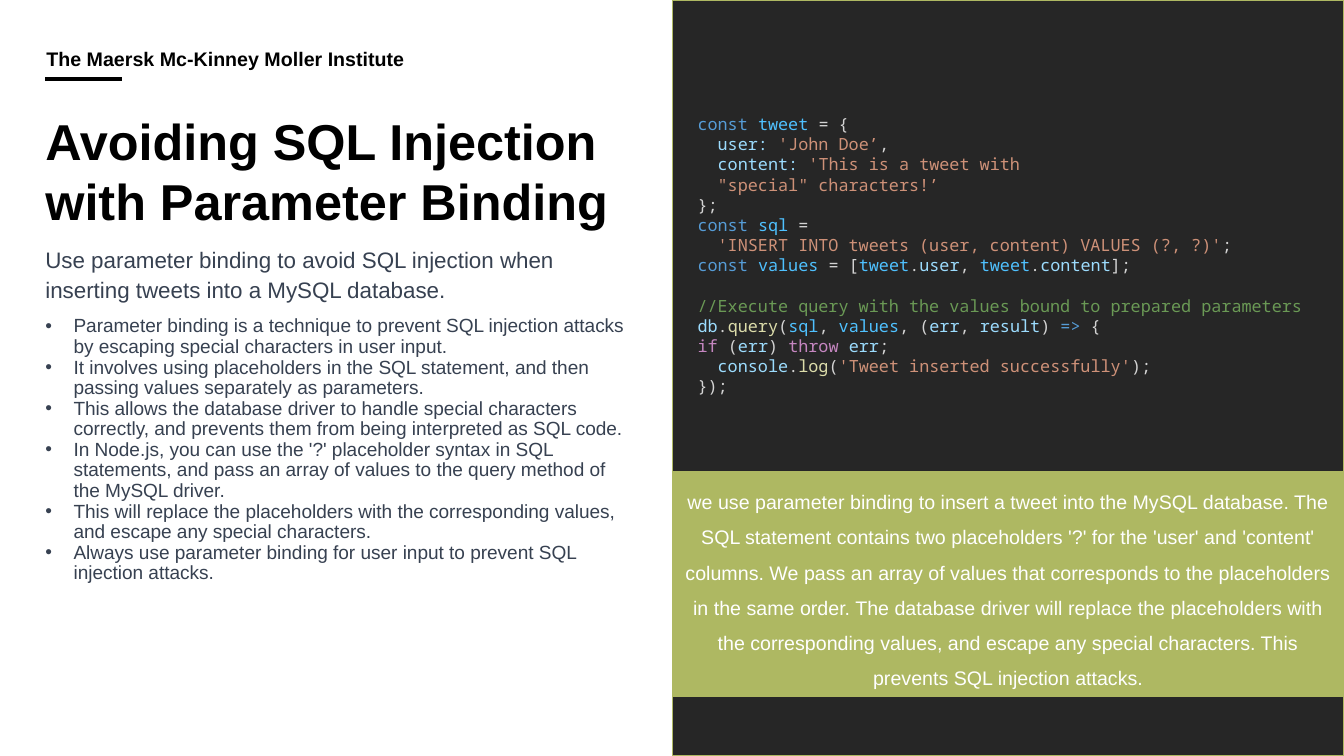
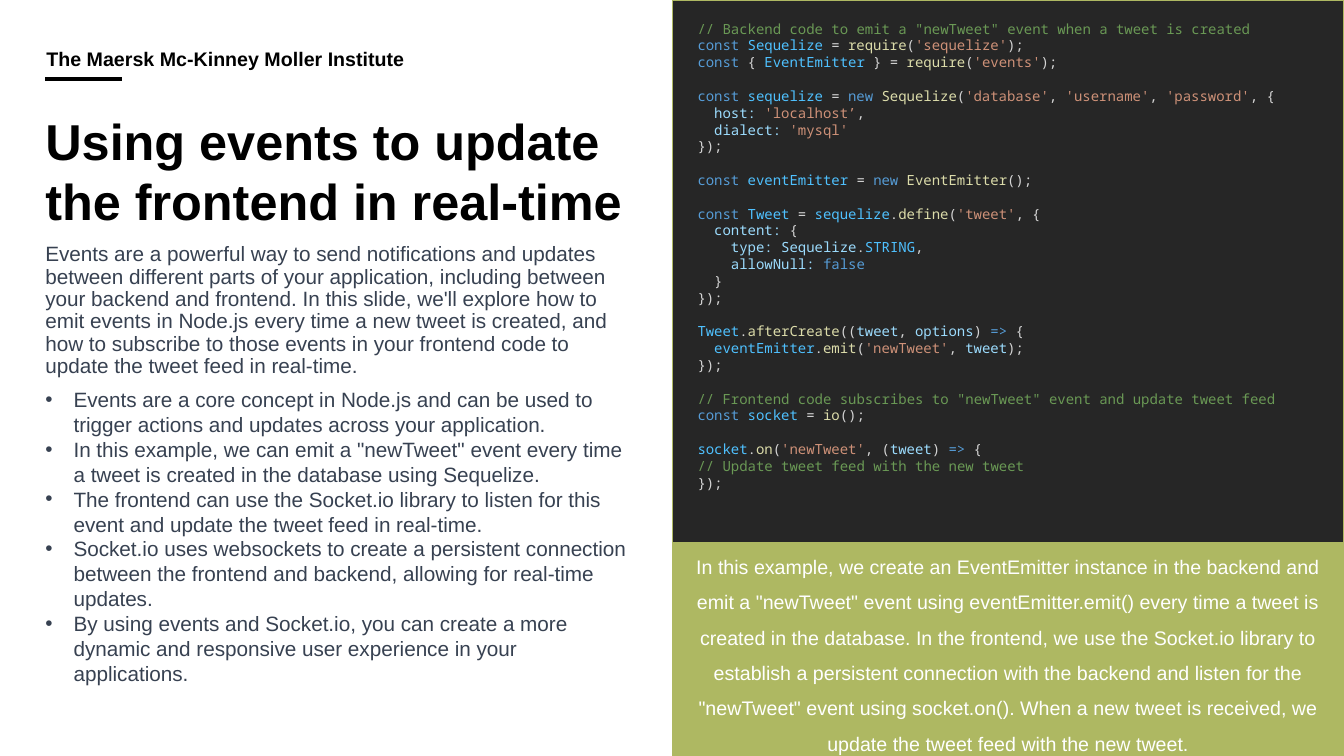
"""Build two slides that set bullet points beside a code sample."""
from lxml import etree
from pptx import Presentation
from pptx.dml.color import RGBColor
from pptx.enum.shapes import MSO_CONNECTOR, MSO_SHAPE
from pptx.enum.text import MSO_ANCHOR, PP_ALIGN
from pptx.oxml.ns import qn
from pptx.util import Inches, Pt

LINE = MSO_CONNECTOR.STRAIGHT
RECT = MSO_SHAPE.RECTANGLE
TOP, MIDDLE, BOTTOM = MSO_ANCHOR.TOP, MSO_ANCHOR.MIDDLE, MSO_ANCHOR.BOTTOM
LEFT, CENTER = PP_ALIGN.LEFT, PP_ALIGN.CENTER

BLACK = RGBColor(0x00, 0x00, 0x00)
WHITE = RGBColor(0xFF, 0xFF, 0xFF)
SLATE = RGBColor(0x37, 0x41, 0x51)
DARK = RGBColor(0x26, 0x26, 0x26)
GREEN = RGBColor(0xAE, 0xB8, 0x62)
SANS, MONO = "Arial", "Noto Sans Mono"

INKS = {
    "K": RGBColor(0x56, 0x9C, 0xD6),
    "V": RGBColor(0x4F, 0xC1, 0xFF),
    "P": RGBColor(0xD4, 0xD4, 0xD4),
    "N": RGBColor(0x9C, 0xDC, 0xFE),
    "S": RGBColor(0xCE, 0x91, 0x78),
    "F": RGBColor(0xDC, 0xDC, 0xAA),
    "C": RGBColor(0x6A, 0x99, 0x55),
    "T": RGBColor(0xC5, 0x86, 0xC0),
}

WIDTH, HEIGHT = 13.33, 7.5
HALF = 6.67
EDGE = 0.45
COLUMN = 5.84
INDENT = 0.28
HEADER = "The Maersk Mc-Kinney Moller Institute"

BINDING = {
    "title": "Avoiding SQL Injection with Parameter Binding",
    "intro": "Use parameter binding to avoid SQL injection when inserting "
             "tweets into a MySQL database.",
    "intro_size": 16,
    "intro_space": 1.1,
    "points": [
        "Parameter binding is a technique to prevent SQL injection attacks "
        "by escaping special characters in user input.",
        "It involves using placeholders in the SQL statement, and then "
        "passing values separately as parameters.",
        "This allows the database driver to handle special characters "
        "correctly, and prevents them from being interpreted as SQL code.",
        "In Node.js, you can use the '?' placeholder syntax in SQL "
        "statements, and pass an array of values to the query method of "
        "the MySQL driver.",
        "This will replace the placeholders with the corresponding values, "
        "and escape any special characters.",
        "Always use parameter binding for user input to prevent SQL "
        "injection attacks.",
    ],
    "points_top": 3.14,
    "points_size": 13.6,
    "points_space": 0.9,
    "code": [
        "Kconst |Vtweet|P = {",
        "N  user: |S'John Doe’|P,",
        "N  content: |S'This is a tweet with",
        "S  \"special\" characters!’",
        "P};",
        "Kconst |Vsql|P =",
        "S  'INSERT INTO tweets (user, content) VALUES (?, ?)'|P;",
        "Kconst |Vvalues|P = [|Vtweet|P.|Nuser|P, |Vtweet|P.|Ncontent|P];",
        "",
        "C//Execute query with the values bound to prepared parameters",
        "Ndb|P.|Fquery|P(|Vsql|P, |Vvalues|P, (|Nerr|P, |Nresult|P) |K=>|P {",
        "Tif|P (|Nerr|P) |Tthrow |Nerr|P;",
        "N  console|P.|Flog|P(|S'Tweet inserted successfully'|P);",
        "P});",
    ],
    "code_top": 1.08,
    "code_high": 3.33,
    "code_size": 12,
    "note": "we use parameter binding to insert a tweet into the MySQL "
            "database. The SQL statement contains two placeholders '?' for "
            "the 'user' and 'content' columns. We pass an array of values "
            "that corresponds to the placeholders in the same order. The "
            "database driver will replace the placeholders with the "
            "corresponding values, and escape any special characters. This "
            "prevents SQL injection attacks.",
    "note_top": 4.68,
    "note_high": 2.23,
}

EVENTS = {
    "title": "Using events to update the frontend in real-time",
    "intro": "Events are a powerful way to send notifications and updates "
             "between different parts of your application, including between "
             "your backend and frontend. In this slide, we'll explore how to "
             "emit events in Node.js every time a new tweet is created, and "
             "how to subscribe to those events in your frontend code to "
             "update the tweet feed in real-time.",
    "intro_size": 14.8,
    "intro_space": 0.9,
    "points": [
        "Events are a core concept in Node.js and can be used to trigger "
        "actions and updates across your application.",
        "In this example, we can emit a \"newTweet\" event every time a "
        "tweet is created in the database using Sequelize.",
        "The frontend can use the Socket.io library to listen for this "
        "event and update the tweet feed in real-time.",
        "Socket.io uses websockets to create a persistent connection "
        "between the frontend and backend, allowing for real-time updates.",
        "By using events and Socket.io, you can create a more dynamic and "
        "responsive user experience in your applications.",
    ],
    "points_top": 3.84,
    "points_size": 14.8,
    "points_space": 1.0,
    "code": [
        "C// Backend code to emit a \"newTweet\" event when a tweet is created",
        "Kconst |VSequelize|P = |Frequire|P(|S'sequelize'|P);",
        "Kconst|P { |VEventEmitter|P } = |Frequire|P(|S'events'|P);",
        "",
        "Kconst |Vsequelize|P = |Knew |FSequelize|P(|S'database'|P, "
        "|S'username'|P, |S'password'|P, {",
        "N  host: |S'localhost’|P,",
        "N  dialect: |S'mysql'",
        "P});",
        "",
        "Kconst |VeventEmitter|P = |Knew |FEventEmitter|P();",
        "",
        "Kconst |VTweet|P = |Vsequelize|P.|Fdefine|P(|S'tweet'|P, {",
        "N  content:|P {",
        "N    type: Sequelize|P.|VSTRING|P,",
        "N    allowNull: |Kfalse",
        "P  }",
        "P});",
        "",
        "VTweet|P.|FafterCreate|P((|Ntweet|P, |Noptions|P) |K=>|P {",
        "V  eventEmitter|P.|Femit|P(|S'newTweet'|P, |Ntweet|P);",
        "P});",
        "",
        "C// Frontend code subscribes to \"newTweet\" event and update tweet feed",
        "Kconst |Vsocket|P = |Fio|P();",
        "",
        "Vsocket|P.|Fon|P(|S'newTweet'|P, (|Ntweet|P) |K=>|P {",
        "C// Update tweet feed with the new tweet",
        "P});",
    ],
    "code_top": 0.15,
    "code_high": 4.98,
    "code_size": 10,
    "note": "In this example, we create an EventEmitter instance in the "
            "backend and emit a \"newTweet\" event using eventEmitter.emit() "
            "every time a tweet is created in the database. In the frontend, "
            "we use the Socket.io library to establish a persistent "
            "connection with the backend and listen for the \"newTweet\" "
            "event using socket.on(). When a new tweet is received, we "
            "update the tweet feed with the new tweet.",
    "note_top": 5.38,
    "note_high": 2.12,
}


def set_frame(shape, pads, anchor=TOP):
    frame = shape.text_frame
    frame.word_wrap = True
    frame.vertical_anchor = anchor
    (frame.margin_left, frame.margin_top,
     frame.margin_right, frame.margin_bottom) = map(Inches, pads)
    return frame


def add_box(slide, box, pads=(0, 0, 0, 0), anchor=TOP):
    return set_frame(slide.shapes.add_textbox(*map(Inches, box)), pads, anchor)


def add_rect(slide, box, color):
    rect = slide.shapes.add_shape(RECT, *map(Inches, box))
    rect.shadow.inherit = False
    rect.fill.solid()
    rect.fill.fore_color.rgb = color
    rect.line.color.rgb = GREEN
    rect.line.width = Pt(1)
    return rect


def next_para(frame, first):
    return frame.paragraphs[0] if first else frame.add_paragraph()


def add_run(para, text, size, color, face=SANS, bold=False):
    run = para.add_run()
    run.text = text
    font = run.font
    font.name, font.size, font.bold = face, Pt(size), bold
    font.color.rgb = color


def write(frame, text, size, color, space=1.0, bold=False, align=LEFT):
    para = frame.paragraphs[0]
    para.alignment = align
    para.line_spacing = space
    add_run(para, text, size, color, bold=bold)


def add_points(frame, points, size, space):
    for i, text in enumerate(points):
        para = next_para(frame, i == 0)
        props = para._p.get_or_add_pPr()
        props.set("marL", str(Inches(INDENT)))
        props.set("indent", str(-Inches(INDENT)))
        etree.SubElement(props, qn("a:buFont")).set("typeface", SANS)
        etree.SubElement(props, qn("a:buChar")).set("char", "•")
        para.line_spacing = space
        add_run(para, text, size, SLATE)


def add_code(frame, lines, size):
    for i, line in enumerate(lines):
        if not line:
            continue
        para = next_para(frame, i == 0)
        if i and not lines[i - 1]:
            para.space_before = Pt(1.2 * size)
        for part in line.split("|"):
            add_run(para, part[1:], size, INKS[part[0]], MONO)


def add_header(slide):
    rule = slide.shapes.add_connector(
        LINE, *map(Inches, (EDGE, 0.78, 1.21, 0.78)))
    rule.line.color.rgb = BLACK
    rule.line.width = Pt(3)
    etree.SubElement(rule._element.spPr, qn("a:effectLst"))
    frame = add_box(slide, (EDGE, 0.49, 6.22, 0.31), (0.01, 0, 0, 0.1), BOTTOM)
    write(frame, HEADER, 14, BLACK, 0.9, True)


def add_slide(deck, data):
    slide = deck.slides.add_slide(deck.slide_layouts[6])
    add_header(slide)
    add_rect(slide, (HALF, 0, WIDTH - HALF, HEIGHT), DARK)
    write(add_box(slide, (EDGE, 1.09, 6, 1.32)), data["title"], 36, BLACK,
          bold=True)
    code = add_box(slide, (6.82, data["code_top"], 6.3, data["code_high"]),
                   (0.1, 0.05, 0.1, 0.05))
    add_code(code, data["code"], data["code_size"])
    intro_high = data["points_top"] - 2.42
    write(add_box(slide, (EDGE, 2.42, COLUMN, intro_high)), data["intro"],
          data["intro_size"], SLATE, data["intro_space"])
    band = add_rect(slide, (HALF, data["note_top"], WIDTH - HALF,
                            data["note_high"]), GREEN)
    write(set_frame(band, (0.08,) * 4, MIDDLE), data["note"], 14, WHITE, 1.5,
          align=CENTER)
    points = add_box(slide, (EDGE, data["points_top"], COLUMN, 3.02))
    add_points(points, data["points"], data["points_size"],
               data["points_space"])


def main():
    deck = Presentation()
    deck.slide_width, deck.slide_height = Inches(WIDTH), Inches(HEIGHT)
    for data in (BINDING, EVENTS):
        add_slide(deck, data)
    deck.save("out.pptx")


if __name__ == "__main__":
    main()
